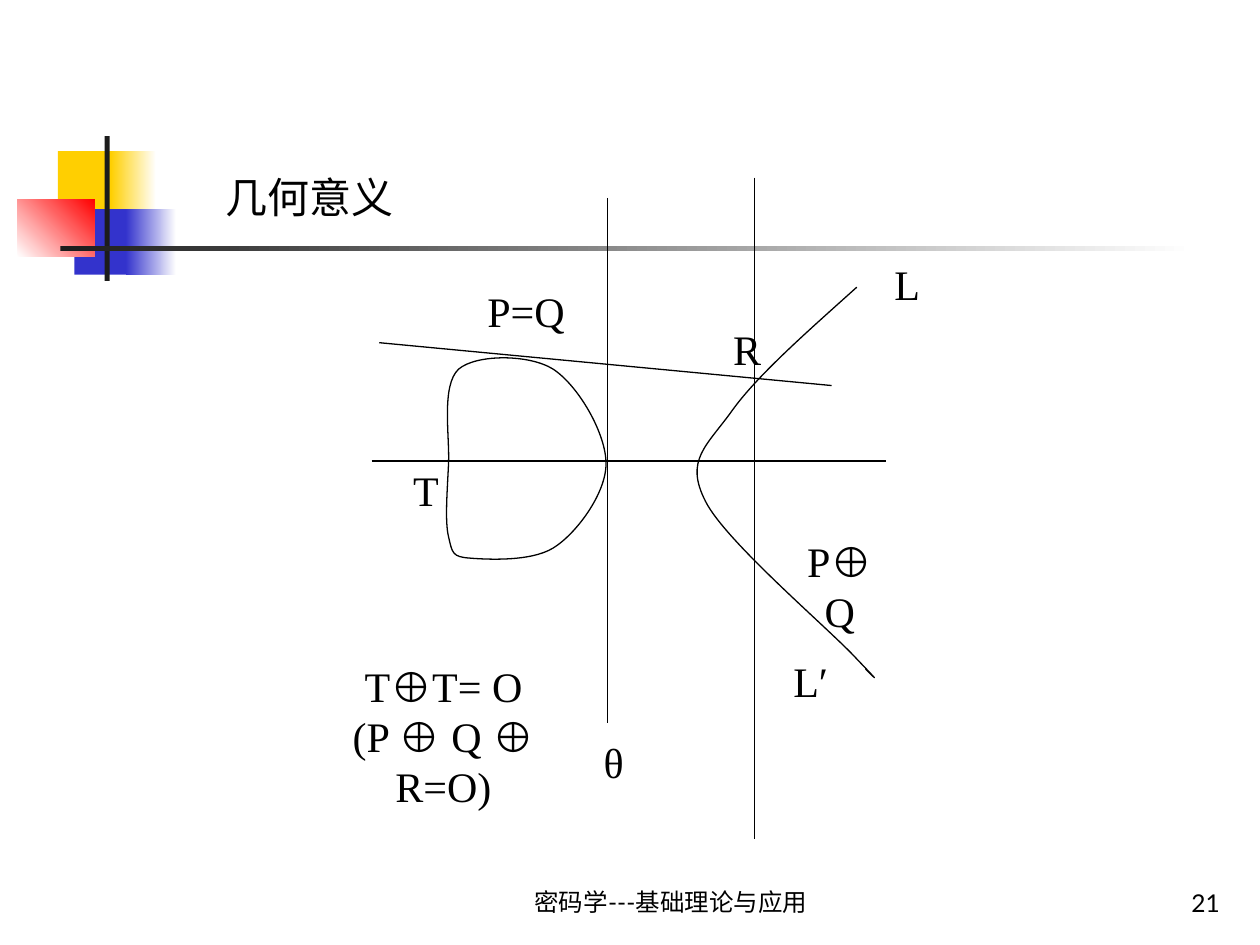
from dataclasses import dataclass
from itertools import chain, groupby

from lxml import etree
from pptx import Presentation
from pptx.dml.color import RGBColor
from pptx.enum.shapes import MSO_CONNECTOR, MSO_SHAPE
from pptx.enum.text import MSO_ANCHOR, MSO_AUTO_SIZE, PP_ALIGN
from pptx.oxml.ns import qn
from pptx.util import Pt

RECTANGLE = MSO_SHAPE.RECTANGLE
STRAIGHT = MSO_CONNECTOR.STRAIGHT
TOP, BOTTOM = MSO_ANCHOR.TOP, MSO_ANCHOR.BOTTOM
LEFT, CENTER, RIGHT = PP_ALIGN.LEFT, PP_ALIGN.CENTER, PP_ALIGN.RIGHT
NO_AUTOSIZE, GROW = MSO_AUTO_SIZE.NONE, MSO_AUTO_SIZE.SHAPE_TO_FIT_TEXT

EMU_PER_PX = 9144
TITLE_ONLY = 5


@dataclass(frozen=True)
class Theme:
    ink: str = "000000"
    paper: str = "FFFFFF"
    yellow: str = "FFCF01"
    blue: str = "3333CC"
    red: str = "FF0000"
    bar: str = "1C1C1C"
    text_font: str = "Lato"
    label_font: str = "Times New Roman"
    symbol_font: str = "Arial"
    large: int = 24
    small: int = 14
    line: float = 0.75


THEME = Theme()


def px(value):
    return round(value * EMU_PER_PX)


def color(value):
    return RGBColor.from_string(value)


def place(box, left, top, width, height):
    return px(box[0] + left), px(box[1] + top), px(width), px(height)


def style_run(run, font, size, bold=False):
    run.font.name = font
    run.font.size = Pt(size)
    run.font.bold = bold
    run.font.color.rgb = color(THEME.ink)


def style_line(line):
    line.color.rgb = color(THEME.ink)
    line.width = Pt(THEME.line)


def add_block(slide, area, start, end=None, angle=0):
    shape = slide.shapes.add_shape(RECTANGLE, *area)
    shape.shadow.inherit = False
    shape.line.fill.background()
    if end is None:
        shape.fill.solid()
        shape.fill.fore_color.rgb = color(start)
        return
    shape.fill.gradient()
    shape.fill.gradient_angle = angle
    for stop, value in zip(shape.fill.gradient_stops, (start, end)):
        stop.color.rgb = color(value)


def add_decoration(slide, box):
    blocks = [
        ((32, 12, 48, 52), THEME.yellow),
        ((74, 12, 36, 52), THEME.yellow, THEME.paper),
        ((45, 58, 46, 52), THEME.blue),
        ((86, 58, 40, 52), THEME.blue, THEME.paper),
        ((0, 50, 61, 46), THEME.paper, THEME.red, 45),
        ((69, 0, 4, 115), THEME.bar),
        ((34, 87, 900, 4), THEME.bar, THEME.paper),
    ]
    for area, *fill in blocks:
        add_block(slide, place(box, *area), *fill)


def add_title(slide, box):
    title = slide.shapes.title
    title.left, title.top, title.width, title.height = place(box, 0, 0, *box[2:])
    frame = title.text_frame
    frame.text = "几何意义"
    frame.word_wrap = True
    frame.auto_size = NO_AUTOSIZE
    frame.vertical_anchor = TOP
    paragraph = frame.paragraphs[0]
    paragraph.alignment = LEFT
    style_run(paragraph.runs[0], THEME.text_font, THEME.large)


def add_straight(slide, box, start, end):
    points = [px(box[axis] + point[axis]) for point in (start, end) for axis in (0, 1)]
    connector = slide.shapes.add_connector(STRAIGHT, *points)
    style_line(connector.line)
    etree.SubElement(connector._element.spPr, qn("a:effectLst"))


def bend_segments(shape):
    lines = list(shape._element.iter(qn("a:lnTo")))
    for index in range(0, len(lines), 3):
        curve = etree.Element(qn("a:cubicBezTo"))
        lines[index].addprevious(curve)
        for line in lines[index:index + 3]:
            curve.append(line[0])
            line.getparent().remove(line)


def add_curve(slide, box, start, segments, closed):
    points = [
        (px(box[0] + x), px(box[1] + y))
        for x, y in chain([start], *segments)
    ]
    builder = slide.shapes.build_freeform(*points[0], scale=1.0)
    builder.add_line_segments(points[1:], close=closed)
    shape = builder.convert_to_shape()
    bend_segments(shape)
    shape.shadow.inherit = False
    style_line(shape.line)
    if closed:
        shape.fill.solid()
        shape.fill.fore_color.rgb = color(THEME.paper)
    else:
        shape.fill.background()


def add_label(slide, area, lines):
    frame = slide.shapes.add_textbox(*area).text_frame
    frame.word_wrap = True
    frame.auto_size = GROW
    for index, line in enumerate(lines):
        paragraph = frame.add_paragraph() if index else frame.paragraphs[0]
        paragraph.alignment = CENTER
        for symbol, characters in groupby(line, key=lambda character: character == "⊕"):
            run = paragraph.add_run()
            run.text = "".join(characters)
            font = THEME.symbol_font if symbol else THEME.label_font
            style_run(run, font, THEME.large, symbol)


def add_elliptic_curve(slide, box):
    add_straight(slide, box, (248, 16), (248, 433))
    add_straight(slide, box, (365, 0), (365, 525))
    add_curve(slide, box, (247, 227), [
        ((247, 203), (225, 165), (205, 152)),
        ((186, 140), (144, 140), (130, 152)),
        ((116, 165), (123, 205), (122, 227)),
        ((121, 249), (119, 273), (122, 285)),
        ((125, 298), (125, 301), (139, 302)),
        ((152, 303), (187, 305), (205, 294)),
        ((223, 283), (247, 251), (247, 227)),
    ], closed=True)
    add_straight(slide, box, (61, 225), (469, 225))
    add_straight(slide, box, (67, 131), (426, 165))
    add_curve(slide, box, (446, 87), [
        ((407, 122), (367, 157), (347, 185)),
        ((327, 213), (309, 224), (326, 257)),
        ((342, 289), (425, 359), (446, 382)),
        ((467, 404), (460, 397), (453, 390)),
    ], closed=False)
    for lines, left, top, width, height in [
        (["P=Q"], 140, 81, 87, 50),
        (["L"], 466, 59, 40, 50),
        (["L′"], 383, 374, 53, 50),
        (["θ"], 235, 439, 36, 50),
        (["T⊕T= O", "(P ⊕ Q ⊕ R=O)"], 0, 378, 236, 90),
        (["P⊕Q"], 388, 279, 89, 50),
        (["R"], 338, 111, 42, 50),
        (["T"], 84, 223, 40, 50),
    ]:
        add_label(slide, place(box, left, top, width, height), lines)


def add_footer(slide, box):
    for text, left, top, width, alignment in [
        ("密码学---基础理论与应用", 0, 0, 317, CENTER),
        ("21", 396, 1, 208, RIGHT),
    ]:
        frame = slide.shapes.add_textbox(*place(box, left, top, width, box[3])).text_frame
        frame.text = text
        frame.word_wrap = True
        frame.vertical_anchor = BOTTOM
        paragraph = frame.paragraphs[0]
        paragraph.alignment = alignment
        style_run(paragraph.runs[0], THEME.text_font, THEME.small)


def main():
    presentation = Presentation()
    presentation.slide_width, presentation.slide_height = px(1000), px(750)
    slide = presentation.slides.add_slide(presentation.slide_layouts[TITLE_ONLY])
    add_decoration(slide, (14, 108, 934, 115))
    add_title(slide, (169, 131, 160, 50))
    add_elliptic_curve(slide, (234, 141, 506, 525))
    add_footer(slide, (374, 682, 604, 50))
    presentation.save("out.pptx")


if __name__ == "__main__":
    main()
